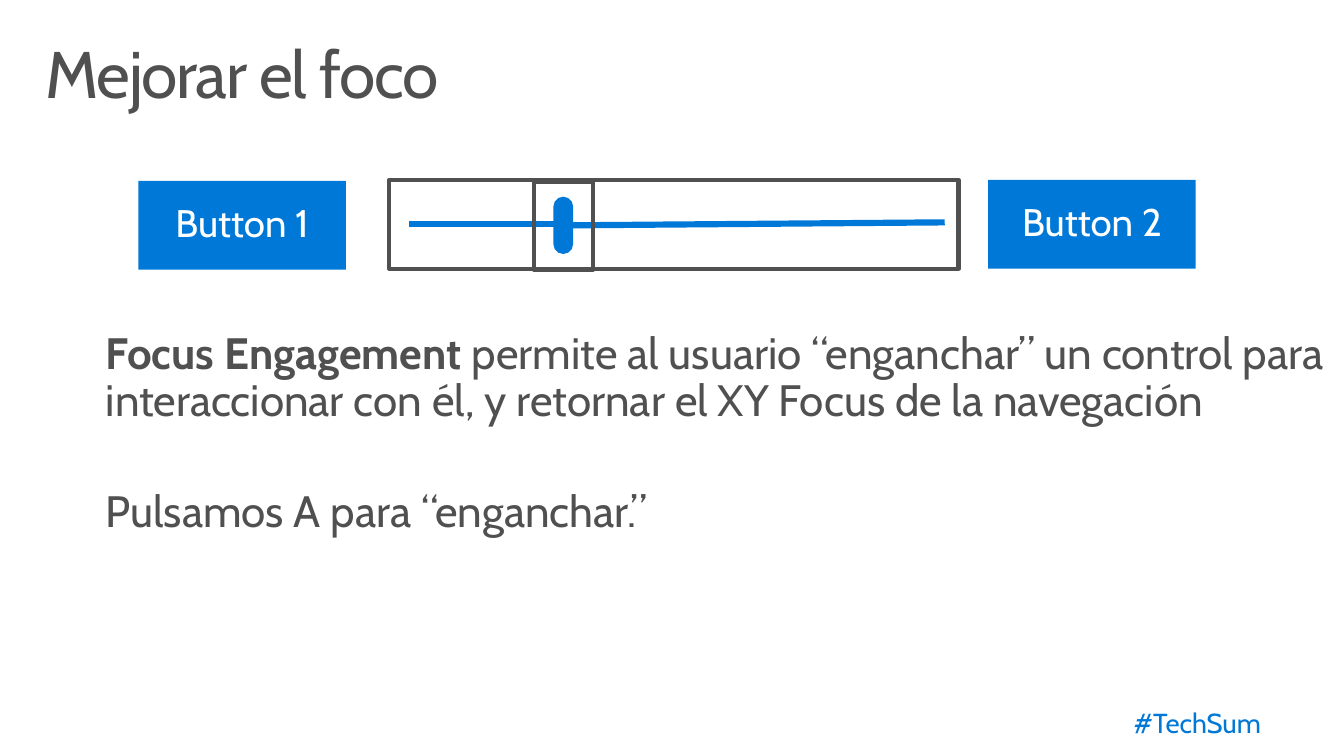
from dataclasses import dataclass

from lxml import etree
from pptx import Presentation
from pptx import util as u
from pptx.dml.color import RGBColor
from pptx.enum import shapes, text
from pptx.oxml.ns import qn


@dataclass(frozen=True)
class Theme:
    """Colours, font and type sizes of the slide."""
    font: str = "Cabin"
    blue: str = "0078D7"
    grey: str = "505050"
    white: str = "FFFFFF"
    title: int = 48
    body: int = 32
    button: int = 28
    tag: int = 20
    track: float = 4.5
    frame: float = 3


class SlideBuilder:
    """Draws styled elements on the current slide."""

    def __init__(self, s, theme):
        """Keep the slide and its theme."""
        self.s = s
        self.theme = theme

    def box(self, left, top, width, height):
        """Convert a box in inches to lengths."""
        return [u.Inches(v) for v in (left, top, width, height)]

    def frame(self, sp, insets, anchor=text.MSO_ANCHOR.TOP):
        """Set up the text frame of a shape."""
        tf = sp.text_frame
        tf.word_wrap = True
        tf.auto_size = text.MSO_AUTO_SIZE.NONE
        tf.vertical_anchor = anchor
        tf.margin_left, tf.margin_top, tf.margin_right, tf.margin_bottom = self.box(*insets)
        return tf

    def add_runs(self, p, runs, size, colour, align=text.PP_ALIGN.LEFT, before=0):
        """Fill a paragraph with (text, bold) runs."""
        p.alignment = align
        p.line_spacing = 0.9
        p.space_before = u.Pt(before)
        for words, bold in runs:
            r = p.add_run()
            r.text = words
            r.font.name = self.theme.font
            r.font.size = u.Pt(size)
            r.font.bold = bold
            r.font.color.rgb = RGBColor.from_string(colour)

    def place(self, sp, box):
        """Move a placeholder."""
        sp.left, sp.top, sp.width, sp.height = self.box(*box)

    def title(self, words, box):
        """Set the slide title."""
        sp = self.s.shapes.title
        self.place(sp, box)
        p = self.frame(sp, (0.16, 0.1, 0.16, 0.1)).paragraphs[0]
        self.add_runs(p, [(words, False)], self.theme.title, self.theme.grey)
        p.runs[0].font._element.set("spc", "-100")

    def body(self, paragraphs, box, gap):
        """Set unbulleted body paragraphs."""
        sp = self.s.placeholders[1]
        self.place(sp, box)
        tf = self.frame(sp, (0.16, 0.1, 0, 0.1))
        for i, runs in enumerate(paragraphs):
            p = tf.add_paragraph() if i else tf.paragraphs[0]
            pPr = p._p.get_or_add_pPr()
            pPr.set("marL", "0")
            pPr.set("indent", "0")
            etree.SubElement(pPr, qn("a:buNone"))
            self.add_runs(p, runs, self.theme.body, self.theme.grey, before=gap if i else 0)

    def tag(self, words, box):
        """Add the right-aligned hashtag."""
        sp = self.s.shapes.add_textbox(*self.box(*box))
        tf = self.frame(sp, (0.2, 0.16, 0.2, 0.16))
        self.add_runs(tf.paragraphs[0], [(words, False)], self.theme.tag, self.theme.blue,
                      text.PP_ALIGN.RIGHT)

    def shape(self, box, fill=None, line=None, kind=shapes.MSO_SHAPE.RECTANGLE):
        """Add a filled or outlined shape."""
        sp = self.s.shapes.add_shape(kind, *self.box(*box))
        sp.shadow.inherit = False
        if fill:
            sp.fill.solid()
            sp.fill.fore_color.rgb = RGBColor.from_string(fill)
        else:
            sp.fill.background()
        if line:
            sp.line.color.rgb = RGBColor.from_string(line)
            sp.line.width = u.Pt(self.theme.frame)
        else:
            sp.line.fill.background()
        return sp

    def button(self, words, box):
        """Add a labelled button."""
        sp = self.shape(box, fill=self.theme.blue)
        tf = self.frame(sp, (0.2, 0.16, 0.2, 0.16), text.MSO_ANCHOR.MIDDLE)
        self.add_runs(tf.paragraphs[0], [(words, False)], self.theme.button, self.theme.white,
                      text.PP_ALIGN.CENTER)

    def track(self, x1, y1, x2, y2):
        """Add a piece of the slider track."""
        sp = self.s.shapes.add_connector(shapes.MSO_CONNECTOR.STRAIGHT,
                                         *self.box(x1, y1, x2, y2))
        sp.line.color.rgb = RGBColor.from_string(self.theme.blue)
        sp.line.width = u.Pt(self.theme.track)
        etree.SubElement(sp._element.spPr, qn("a:effectLst"))
        return sp


def main():
    """Build the slide and save it."""
    prs = Presentation()
    prs.slide_width, prs.slide_height = u.Inches(13.6), u.Inches(7.65)
    theme = Theme()
    b = SlideBuilder(prs.slides.add_slide(prs.slide_layouts[1]), theme)

    b.tag("#TechSum", (8.97, 7.02, 3.99, 0.63))
    b.title("Mejorar el foco", (0.3, 0.32, 13, 1))
    b.body([
        [("Focus Engagement ", True),
         ("permite al usuario “enganchar” un control para interaccionar con él, "
          "y retornar el XY Focus de la navegación", False)],
        [("Pulsamos A para “enganchar.”", False)],
    ], (0.91, 3.25, 12.69, 2.44), gap=46)

    for words, left, top in (("Button 1", 1.4, 1.83), ("Button 2", 10, 1.82)):
        b.button(words, (left, top, 2.1, 0.9))

    b.track(4.14, 2.27, 5.7, 2.27)
    handle = b.shape((5.6, 1.99, 0.2, 0.58), fill=theme.blue,
                     kind=shapes.MSO_SHAPE.ROUNDED_RECTANGLE)
    handle.adjustments[0] = 0.5
    b.track(5.8, 2.27, 9.56, 2.25).begin_connect(handle, 3)
    for outline in ((3.94, 1.82, 5.76, 0.9), (5.4, 1.84, 0.6, 0.89)):
        b.shape(outline, line=theme.grey)

    prs.save("out.pptx")


if __name__ == "__main__":
    main()
